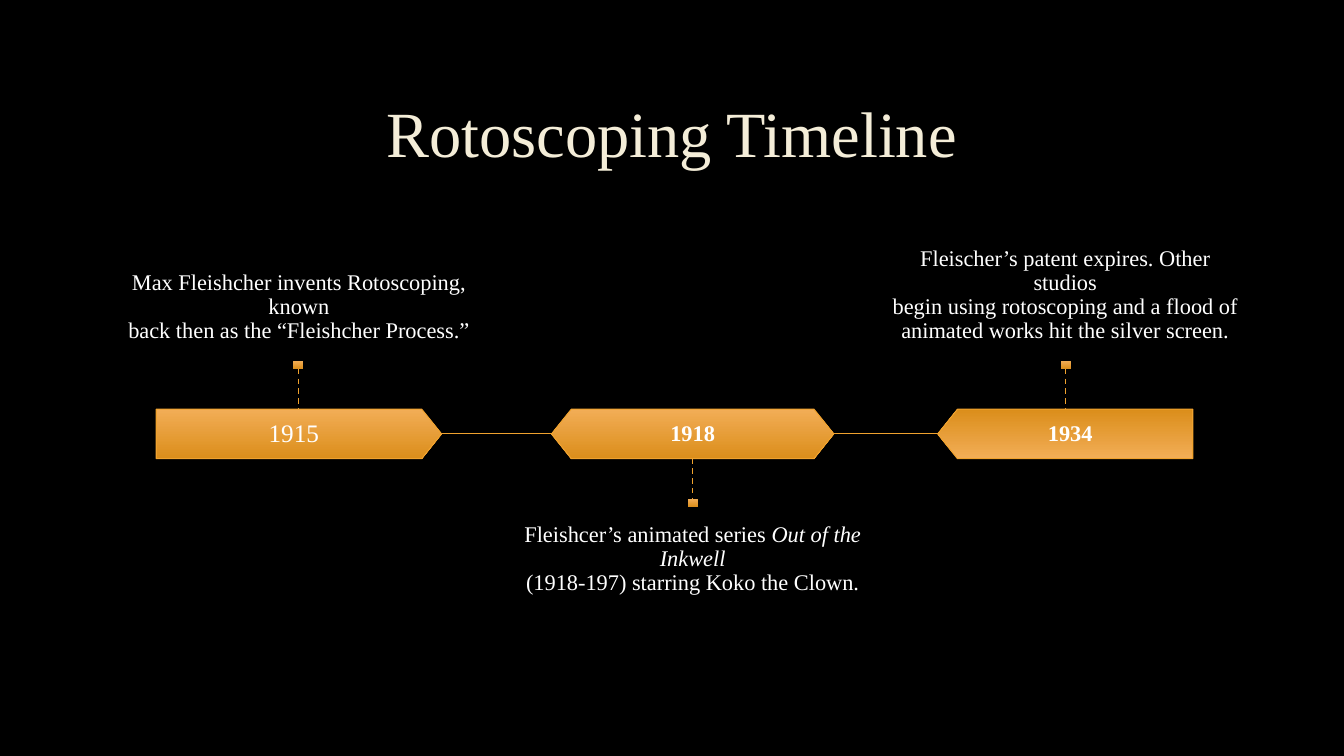
from dataclasses import dataclass
from lxml.etree import SubElement
from pptx import Presentation
from pptx.dml.color import RGBColor
from pptx.enum.dml import MSO_LINE as Dash
from pptx.enum.shapes import MSO_CONNECTOR as Link, MSO_SHAPE as Kind
from pptx.enum.text import MSO_ANCHOR as Anchor, PP_ALIGN as Align
from pptx.oxml.ns import qn
from pptx.slide import Slide
from pptx.util import Inches, Pt

BLACK = RGBColor(0x00, 0x00, 0x00)
WHITE = RGBColor(0xFF, 0xFF, 0xFF)
CREAM = RGBColor(0xF4, 0xED, 0xD8)
GOLD = RGBColor(0xF0, 0xA2, 0x2E)
LIGHT = RGBColor(0xF2, 0xAD, 0x56)
DARK = RGBColor(0xDB, 0x8E, 0x1B)
FONT = "Times New Roman"

BAR_TOP, BAR_HIGH = 4.06, 0.49
BAR_END = BAR_TOP + BAR_HIGH
MID = 4.3
STEM = 0.4
DOT_WIDE, DOT_HIGH = 0.1, 0.08
NOTE_HIGH = 1.3


@dataclass(frozen=True)
class Event:
    year: str
    note: tuple[tuple[str, bool], ...]
    kind: Kind
    left: float
    wide: float
    year_left: float
    year_wide: float
    note_left: float
    note_wide: float
    stem: float
    above: bool = True
    turn: int = 0
    size: int = 16
    bold: bool = True
    pad: float = 0.13


EVENTS = (
    Event("1915",
          (("Max Fleishcher invents Rotoscoping, known\n"
            "back then as the “Fleishcher Process.”", False),),
          Kind.PENTAGON, 1.55, 2.83, 1.55, 2.73, 1, 3.93, 2.96,
          size=18, bold=False, pad=0.15),
    Event("1918",
          (("Fleishcer’s animated series ", False),
           ("Out of the Inkwell\n", True),
           ("(1918-197) starring Koko the Clown.", False)),
          Kind.HEXAGON, 5.47, 2.8, 5.77, 2.2, 4.93, 3.88, 6.87, above=False),
    Event("1934",
          (("Fleischer’s patent expires. Other studios\n"
            "begin using rotoscoping and a flood of\n"
            "animated works hit the silver screen.", False),),
          Kind.PENTAGON, 9.3, 2.53, 9.4, 2.43, 8.81, 3.51, 10.57, turn=180),
)


def add_text(slide: Slide, runs: tuple[tuple[str, bool], ...],
             left: float, top: float, wide: float, high: float, *,
             size: int = 16, color: RGBColor = WHITE, bold: bool = False,
             anchor: Anchor = Anchor.MIDDLE,
             pad: tuple[float, float] = (0.1, 0.05)) -> None:
    box = slide.shapes.add_textbox(
        Inches(left), Inches(top), Inches(wide), Inches(high))
    frame = box.text_frame
    frame.word_wrap = True
    frame.vertical_anchor = anchor
    frame.margin_left = frame.margin_right = Inches(pad[0])
    frame.margin_top = frame.margin_bottom = Inches(pad[1])
    para = frame.paragraphs[0]
    para.alignment = Align.CENTER
    para.line_spacing = 0.9
    para.font.size = Pt(size)
    for text, slant in runs:
        for row, line in enumerate(text.split("\n")):
            if row:
                para.add_line_break()
            if not line:
                continue
            run = para.add_run()
            run.text = line
            font = run.font
            font.name, font.size = FONT, Pt(size)
            font.bold, font.italic = bold, slant
            font.color.rgb = color


def add_block(slide: Slide, kind: Kind, left: float, top: float,
              wide: float, high: float, *, edge: bool = True,
              turn: int = 0) -> None:
    block = slide.shapes.add_shape(
        kind, Inches(left), Inches(top), Inches(wide), Inches(high))
    block.shadow.inherit = False
    block.rotation = turn
    if len(block.adjustments):
        block.adjustments[0] = 0.4
    block.fill.gradient()
    block.fill.gradient_angle = 270
    for stop, color in zip(block.fill.gradient_stops, (LIGHT, DARK)):
        stop.color.rgb = color
    for stop, place in zip(block.fill.gradient_stops, (0, 1)):
        stop.position = place
    if edge:
        block.line.color.rgb = GOLD
        block.line.width = Pt(0.75)
    else:
        block.line.fill.background()


def add_line(slide: Slide, x1: float, y1: float, x2: float, y2: float, *,
             width: float = 0.75, dash: Dash | None = None) -> None:
    line = slide.shapes.add_connector(
        Link.STRAIGHT, Inches(x1), Inches(y1), Inches(x2), Inches(y2))
    line.line.color.rgb = GOLD
    line.line.width = Pt(width)
    if dash is not None:
        line.line.dash_style = dash
    SubElement(line.element.spPr, qn("a:effectLst"))


def add_event(slide: Slide, event: Event) -> None:
    add_block(slide, event.kind, event.left, BAR_TOP, event.wide, BAR_HIGH,
              turn=event.turn)
    add_text(slide, ((event.year, False),), event.year_left, BAR_TOP,
             event.year_wide, BAR_HIGH, size=event.size, bold=event.bold,
             pad=(event.pad, event.pad))
    if event.above:
        start, end = BAR_TOP - STEM, BAR_TOP
        dot, note, anchor = start - DOT_HIGH, 2.27, Anchor.BOTTOM
    else:
        start, end = BAR_END, BAR_END + STEM
        dot, note, anchor = end, end + DOT_HIGH, Anchor.TOP
    add_text(slide, event.note, event.note_left, note, event.note_wide,
             NOTE_HIGH, anchor=anchor, pad=(0, 0.16))
    add_line(slide, event.stem, start, event.stem, end,
             width=1, dash=Dash.DASH)
    add_block(slide, Kind.RECTANGLE, event.stem - DOT_WIDE / 2, dot,
              DOT_WIDE, DOT_HIGH, edge=False)


def main() -> None:
    deck = Presentation()
    deck.slide_width, deck.slide_height = Inches(13.33), Inches(7.5)
    slide = deck.slides.add_slide(deck.slide_layouts[6])
    slide.background.fill.solid()
    slide.background.fill.fore_color.rgb = BLACK
    add_text(slide, (("Rotoscoping Timeline", False),), 1, 0.67, 11.32, 1.38,
             size=46, color=CREAM)
    for event in EVENTS:
        add_event(slide, event)
    for prior, event in zip(EVENTS, EVENTS[1:]):
        add_line(slide, prior.left + prior.wide, MID, event.left, MID)
    deck.save("out.pptx")


if __name__ == "__main__":
    main()
